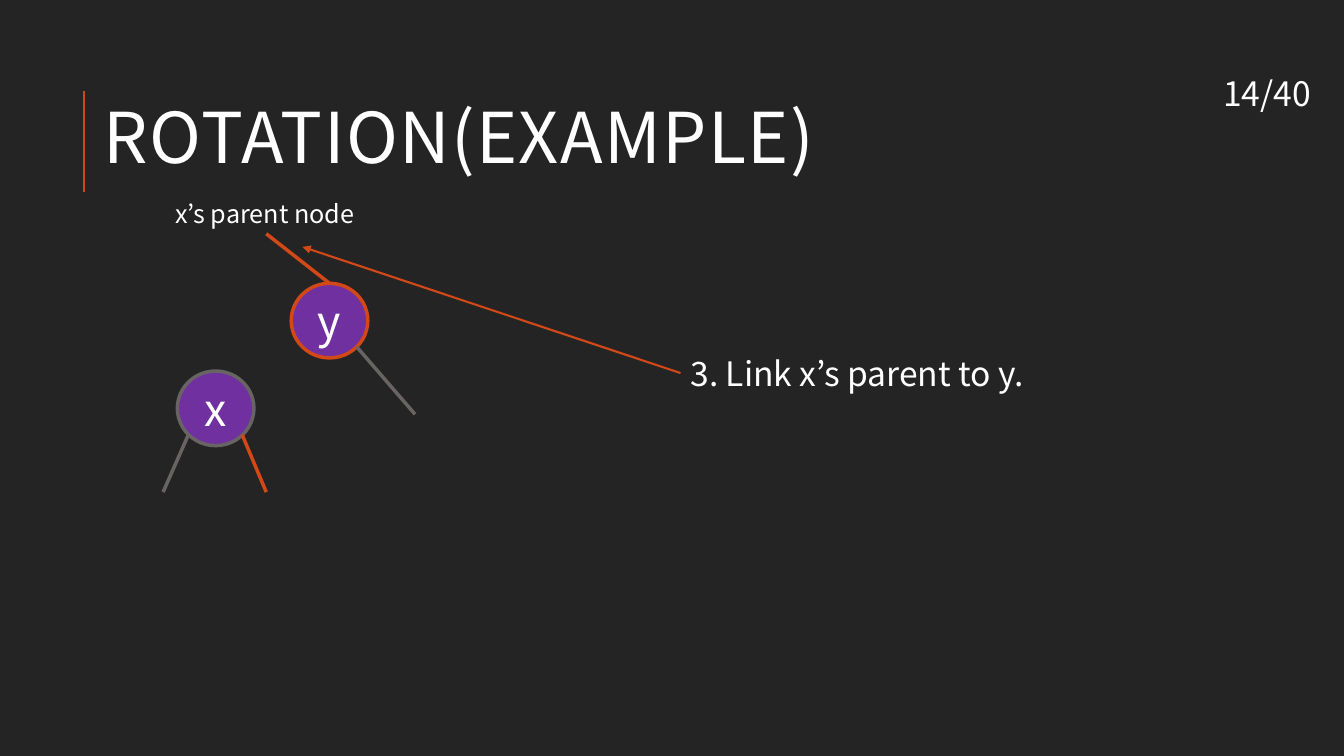
from dataclasses import dataclass

from lxml import etree
from pptx import Presentation
from pptx.dml.color import RGBColor
from pptx.enum.shapes import MSO_CONNECTOR, MSO_SHAPE
from pptx.enum.text import MSO_ANCHOR, MSO_AUTO_SIZE, PP_ALIGN
from pptx.oxml.ns import qn
from pptx.util import Cm, Pt

LINE = MSO_CONNECTOR.STRAIGHT
OVAL = MSO_SHAPE.OVAL
TOP, MIDDLE = MSO_ANCHOR.TOP, MSO_ANCHOR.MIDDLE
LEFT, CENTER = PP_ALIGN.LEFT, PP_ALIGN.CENTER
FIT, FIXED = MSO_AUTO_SIZE.SHAPE_TO_FIT_TEXT, MSO_AUTO_SIZE.NONE


@dataclass(frozen=True)
class Theme:
    font: str = "Noto Sans CJK JP"
    back: RGBColor = RGBColor(0x24, 0x24, 0x24)
    text: RGBColor = RGBColor(0xFF, 0xFF, 0xFF)
    node: RGBColor = RGBColor(0x70, 0x30, 0xA0)
    mark: RGBColor = RGBColor(0xD3, 0x48, 0x17)
    gray: RGBColor = RGBColor(0x69, 0x64, 0x64)
    title: int = 50
    key: int = 32
    body: int = 24
    label: int = 18
    thick: float = 2.5
    thin: float = 1.5


theme = Theme()


def write(shape, text, size, align=LEFT, anchor=TOP, fit=FIXED):
    frame = shape.text_frame
    frame.word_wrap = True
    frame.auto_size = fit
    frame.vertical_anchor = anchor
    para = frame.paragraphs[0]
    para.alignment = align
    run = para.add_run()
    run.text = text
    run.font.name = theme.font
    run.font.size = Pt(size)
    run.font.color.rgb = theme.text
    return run


def link(start, end, color, width):
    """Draw a straight line between two points given in centimetres."""
    line = slide.shapes.add_connector(LINE, *map(Cm, start + end))
    line.line.color.rgb = color
    line.line.width = Pt(width)
    etree.SubElement(line._element.spPr, qn("a:effectLst"))
    return line


deck = Presentation()
deck.slide_width, deck.slide_height = Cm(33.87), Cm(19.05)
slide = deck.slides.add_slide(deck.slide_layouts[5])
slide.background.fill.solid()
slide.background.fill.fore_color.rgb = theme.back

# Title with its accent rule
link((2.11, 4.83), (2.11, 2.29), theme.mark, theme.thin)
title = slide.shapes.title
title.left, title.top, title.width, title.height = map(Cm, (2.36, 2.34, 27.61, 2.54))
run = write(title, "ROTATION(EXAMPLE)", theme.title, anchor=MIDDLE)
run.font._element.set("spc", "100")
title.text_frame.paragraphs[0].line_spacing = 0.8

# Tree nodes
nodes = {}
for key, left, top, color in (
    ("x", 4.47, 9.35, theme.gray),
    ("y", 7.34, 7.14, theme.mark),
):
    node = slide.shapes.add_shape(OVAL, Cm(left), Cm(top), Cm(1.93), Cm(1.88))
    node.shadow.inherit = False
    node.fill.solid()
    node.fill.fore_color.rgb = theme.node
    node.line.color.rgb = color
    node.line.width = Pt(theme.thick)
    write(node, key, theme.key, CENTER, MIDDLE)
    nodes[key] = node

# Tree edges
for start, end, color in (
    ((4.75, 10.95), (4.11, 12.4), theme.gray),
    ((6.1, 10.95), (6.71, 12.4), theme.mark),
    ((8.99, 8.74), (10.46, 10.44), theme.gray),
):
    link(start, end, color, theme.thick)
edge = link((8.31, 7.14), (6.71, 5.89), theme.mark, theme.thick)
edge.begin_connect(nodes["y"], 0)

# Arrow from the step to the new link
arrow = link((17.15, 9.4), (7.62, 6.22), theme.mark, theme.thin)
etree.SubElement(arrow.line._get_or_add_ln(), qn("a:tailEnd"), type="triangle")

# Captions and page number
for text, box, size, anchor, fit in (
    ("3. Link x’s parent to y.", (17.15, 8.76, 9.27, 1.27), theme.body, TOP, FIT),
    ("x’s parent node", (4.17, 4.88, 5.11, 1.02), theme.label, TOP, FIT),
    ("14/40", (30.58, 1.63, 3.05, 1.42), theme.body, MIDDLE, FIXED),
):
    write(slide.shapes.add_textbox(*map(Cm, box)), text, size, anchor=anchor, fit=fit)

deck.save("out.pptx")
